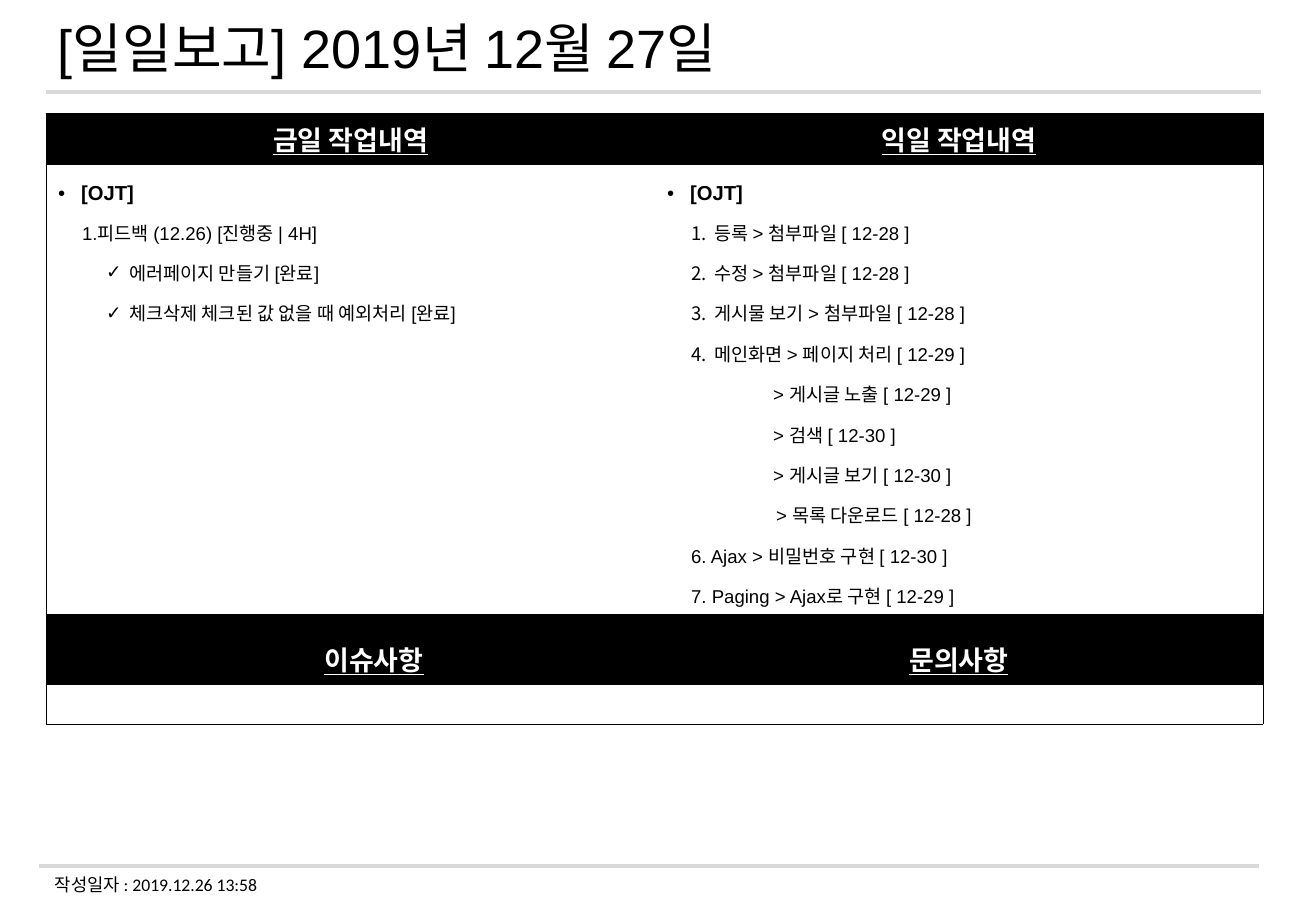
from lxml import etree
from pptx import Presentation
from pptx.dml.color import RGBColor
from pptx.enum.shapes import MSO_CONNECTOR
from pptx.enum.text import MSO_ANCHOR, PP_ALIGN
from pptx.oxml.ns import qn
from pptx.util import Emu, Pt

STRAIGHT = MSO_CONNECTOR.STRAIGHT
MIDDLE, TOP = MSO_ANCHOR.MIDDLE, MSO_ANCHOR.TOP
LEFT, CENTER = PP_ALIGN.LEFT, PP_ALIGN.CENTER
COLORS = {"ink": "000000", "paper": "FFFFFF", "rule": "D9D9D9"}
EMU_PER_PX = 7526


def px(length):
    return Emu(length * EMU_PER_PX)


def rgb(name):
    return RGBColor.from_string(COLORS[name])


def topic(text):
    return dict(text=text, size=12, bold=True, margin=23, hang=23, bullet="•", spacing=1.5)


def entry(text, margin=24, level=1, **marker):
    return dict(text=text, size=11, margin=margin, level=level, spacing=1.5, **marker)


def numbered(text):
    return entry(text, 47, hang=23, number=True)


def checked(text):
    return entry(text, 71, 2, hang=23, bullet="✓")


def heading(text, **layout):
    return dict(text=text, size=16, bold=True, underline=True, color="paper", align=CENTER, **layout)


class Report:
    def __init__(self, width, height):
        self.deck = Presentation()
        self.deck.slide_width, self.deck.slide_height = px(width), px(height)
        self.slide = self.deck.slides.add_slide(self.deck.slide_layouts[6])

    def rule(self, left, right, y):
        line = self.slide.shapes.add_connector(STRAIGHT, px(left), px(y), px(right), px(y))
        line.line.color.rgb = rgb("rule")
        line.line.width = Pt(2.25)
        etree.SubElement(line._element.spPr, qn("a:effectLst"))

    def paragraph(self, para, text, size, font="Arial", color="ink", bold=False, underline=False,
                  align=LEFT, margin=0, hang=0, level=0, spacing=1.0, bullet=None, number=False):
        para.alignment, para.level, para.line_spacing = align, level, spacing
        props = para._p.get_or_add_pPr()
        props.set("marL", str(px(margin)))
        props.set("indent", str(px(-hang)))
        if number:
            etree.SubElement(props, qn("a:buFont"), typeface="+mj-ea")
            etree.SubElement(props, qn("a:buAutoNum"), type="arabicPeriod")
        elif bullet:
            etree.SubElement(props, qn("a:buFont"), typeface=font)
            etree.SubElement(props, qn("a:buChar"), char=bullet)
        else:
            etree.SubElement(props, qn("a:buNone"))
        para.font.name, para.font.size = font, Pt(size)
        para.font.bold, para.font.underline = bold, underline
        para.font.color.rgb = rgb(color)
        if text:
            para.add_run().text = text
        else:
            etree.SubElement(para._p, qn("a:endParaRPr"), sz=str(size * 100))

    def text(self, left, top, width, height, text, size, anchor=TOP, wrap=True, **style):
        frame = self.slide.shapes.add_textbox(px(left), px(top), px(width), px(height)).text_frame
        frame.word_wrap, frame.vertical_anchor = wrap, anchor
        self.paragraph(frame.paragraphs[0], text, size, **style)

    def border(self, cell, side, visible):
        edge = etree.SubElement(cell._tc.get_or_add_tcPr(), qn(f"a:ln{side}"), w=str(Pt(0.5)))
        if visible:
            fill = etree.SubElement(edge, qn("a:solidFill"))
            etree.SubElement(fill, qn("a:srgbClr"), val=COLORS["ink"])
        else:
            etree.SubElement(edge, qn("a:noFill"))

    def table(self, left, top, widths, heights, rows, fills, anchors):
        grid = self.slide.shapes.add_table(len(heights), len(widths), px(left), px(top),
                                           px(sum(widths)), px(sum(heights))).table
        grid.first_row = grid.horz_banding = False
        for column, width in zip(grid.columns, widths):
            column.width = px(width)
        for row, height in zip(grid.rows, heights):
            row.height = px(height)
        for r, row in enumerate(rows):
            for c, paragraphs in enumerate(row):
                cell = grid.cell(r, c)
                outer = {"L": c == 0, "R": c == len(widths) - 1,
                         "T": r == 0, "B": r == len(heights) - 1}
                for side, visible in outer.items():
                    self.border(cell, side, visible)
                cell.fill.solid()
                cell.fill.fore_color.rgb = rgb(fills[r])
                cell.vertical_anchor = anchors[r]
                frame = cell.text_frame
                for i, content in enumerate(paragraphs):
                    para = frame.add_paragraph() if i else frame.paragraphs[0]
                    self.paragraph(para, **content)


def main():
    today = [
        topic("[OJT]"),
        entry("1.피드백 (12.26) [진행중 | 4H]"),
        checked("에러페이지 만들기 [완료]"),
        checked("체크삭제 체크된 값 없을 때 예외처리 [완료]"),
    ]
    tomorrow = [
        topic("[OJT]"),
        numbered("등록 > 첨부파일 [ 12-28 ]"),
        numbered("수정 > 첨부파일 [ 12-28 ]"),
        numbered("게시물 보기 > 첨부파일 [ 12-28 ]"),
        numbered("메인화면 > 페이지 처리 [ 12-29 ]"),
        entry("> 게시글 노출 [ 12-29 ]", 106),
        entry("> 검색 [ 12-30 ]", 106),
        entry("> 게시글 보기 [ 12-30 ]", 106),
        entry("> 목록 다운로드 [ 12-28 ]", 109, 2),
        entry("6. Ajax > 비밀번호 구현 [ 12-30 ]"),
        entry("7. Paging > Ajax로 구현 [ 12-29 ]"),
    ]
    empty = [dict(text="", size=12)]
    rows = [
        [[heading("금일 작업내역")], [heading("익일 작업내역")]],
        [today, tomorrow],
        [[heading("이슈사항", margin=47, level=2, spacing=1.5)], [heading("문의사항", spacing=1.5)]],
        [empty, empty],
    ]

    report = Report(1316, 911)
    report.rule(39, 1259, 866)
    report.rule(46, 1261, 92)
    report.text(46, 19, 1217, 63, "[일일보고] 2019년 12월 27일", 32, anchor=MIDDLE, spacing=0.9)
    report.table(46, 113, [609, 608], [52, 449, 71, 39], rows,
                 ["ink", "paper", "ink", "paper"], [MIDDLE, TOP, TOP, TOP])
    report.text(43, 868, 237, 34, "작성일자 : 2019.12.26 13:58", 10.5, wrap=False, font="Calibri")
    report.deck.save("out.pptx")


if __name__ == "__main__":
    main()
